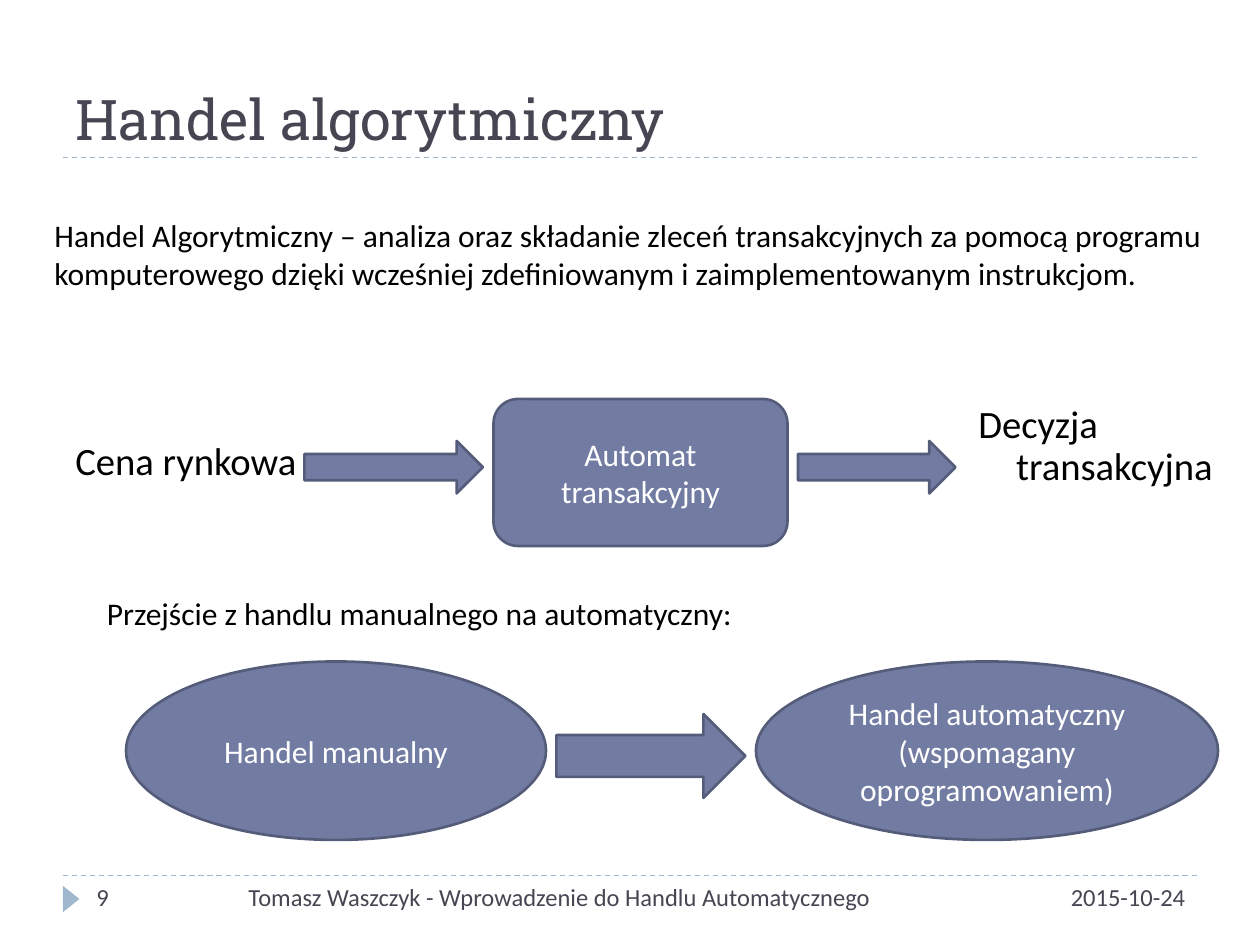
from dataclasses import dataclass, field

from lxml.etree import SubElement
from pptx import Presentation
from pptx.dml.color import RGBColor
from pptx.enum.dml import MSO_LINE_DASH_STYLE as Dash
from pptx.enum.shapes import MSO_CONNECTOR as Conn
from pptx.enum.shapes import MSO_SHAPE as Kind
from pptx.enum.text import MSO_ANCHOR as Anchor
from pptx.enum.text import MSO_AUTO_SIZE as Fit
from pptx.enum.text import PP_ALIGN as Align
from pptx.oxml.ns import qn
from pptx.util import Pt

INK, BLACK, WHITE = "464653", "000000", "FFFFFF"
FILL, EDGE, PALE = "727CA3", "545C79", "9FB8CD"
HANG = 21.6

Box = tuple[float, float, float, float]


@dataclass
class Label:
    text: str
    box: Box
    size: float = 18
    color: str = BLACK
    face: str = "Calibri"
    hang: float = 0
    frame: dict = field(default_factory=dict)
    para: dict = field(default_factory=dict)


@dataclass
class Node:
    kind: Kind
    box: Box
    text: str = ""
    fill: str = FILL
    edge: str | None = EDGE
    turn: float = 0


def rgb(code: str) -> RGBColor:
    return RGBColor.from_string(code)


def apply(target, values: dict) -> None:
    for name, value in values.items():
        setattr(target, name, value)


def write(shape, text: str, size: float, color: str, face: str,
          frame: dict, para: dict):
    """Fill the shape with one formatted paragraph and return it."""
    body = shape.text_frame
    apply(body, {"word_wrap": True} | frame)
    line = body.paragraphs[0]
    apply(line, para)
    run = line.add_run()
    run.text = text
    apply(run.font, {"size": Pt(size), "name": face})
    run.font.color.rgb = rgb(color)
    return line


def draw_label(slide, item: Label) -> None:
    shape = slide.shapes.add_textbox(*map(Pt, item.box))
    line = write(shape, item.text, item.size, item.color, item.face,
                 item.frame, item.para)
    if item.hang:
        props = line._p.get_or_add_pPr()
        props.set("marL", str(Pt(item.hang)))
        props.set("indent", str(-Pt(item.hang)))


def draw_node(slide, item: Node) -> None:
    shape = slide.shapes.add_shape(item.kind, *map(Pt, item.box))
    shape.shadow.inherit = False
    shape.rotation = item.turn
    shape.fill.solid()
    shape.fill.fore_color.rgb = rgb(item.fill)
    if item.edge:
        shape.line.color.rgb = rgb(item.edge)
        shape.line.width = Pt(1.5)
    else:
        shape.line.fill.background()
    if item.text:
        write(shape, item.text, 18, WHITE, "Calibri",
              {"vertical_anchor": Anchor.MIDDLE}, {"alignment": Align.CENTER})


def draw_rule(slide, y: float) -> None:
    rule = slide.shapes.add_connector(
        Conn.STRAIGHT, Pt(36), Pt(y), Pt(684), Pt(y))
    rule.line.color.rgb = rgb(PALE)
    apply(rule.line, {"width": Pt(0.75), "dash_style": Dash.DASH})
    SubElement(rule._element.spPr, qn("a:effectLst"))


RIGHT = {"alignment": Align.RIGHT}
GAP = {"space_before": Pt(6)}
GROW = {"auto_size": Fit.SHAPE_TO_FIT_TEXT}

LABELS = [
    Label("Handel algorytmiczny", (36, 12, 648, 78), 32, INK, "Roboto Slab",
          frame={"vertical_anchor": Anchor.BOTTOM}),
    Label("Cena rynkowa", (36, 246, 144, 54), 22.1, hang=HANG, para=GAP),
    Label("Decyzja transakcyjna", (552, 228, 168, 72), 22.1, hang=HANG,
          para=GAP | {"line_spacing": 0.9}),
    Label("Handel Algorytmiczny – analiza oraz składanie zleceń "
          "transakcyjnych za pomocą programu komputerowego dzięki wcześniej "
          "zdefiniowanym i zaimplementowanym instrukcjom.",
          (24, 120, 708, 72.7), frame=GROW),
    Label("Przejście z handlu manualnego na automatyczny:",
          (54, 336, 414.7, 29), frame=GROW | {"word_wrap": False}),
    Label("9", (48, 500.4, 156, 28.8), 14, INK),
    Label("Tomasz Waszczyk - Wprowadzenie do Handlu Automatycznego",
          (84, 500.4, 420.5, 28.8), 14, INK, para=RIGHT),
    Label("2015-10-24", (588, 500.4, 96.5, 28.8), 14, INK, para=RIGHT),
]

NODES = [
    Node(Kind.ISOSCELES_TRIANGLE, (33.1, 509, 15.1, 9.4),
         fill=PALE, edge=None, turn=90),
    Node(Kind.ROUNDED_RECTANGLE, (282, 228, 168, 84), "Automat transakcyjny"),
    Node(Kind.RIGHT_ARROW, (174, 252, 102, 30)),
    Node(Kind.RIGHT_ARROW, (456, 252, 90, 30)),
    Node(Kind.OVAL, (72, 378, 240, 102), "Handel manualny"),
    Node(Kind.OVAL, (432, 378, 264, 102),
         "Handel automatyczny (wspomagany oprogramowaniem)"),
    Node(Kind.RIGHT_ARROW, (318, 408, 108, 48)),
]


def main() -> None:
    deck = Presentation()
    apply(deck, {"slide_width": Pt(720), "slide_height": Pt(540)})
    slide = deck.slides.add_slide(deck.slide_layouts[6])
    for y in (90, 500.4):
        draw_rule(slide, y)
    for node in NODES:
        draw_node(slide, node)
    for label in LABELS:
        draw_label(slide, label)
    deck.save("out.pptx")


if __name__ == "__main__":
    main()
